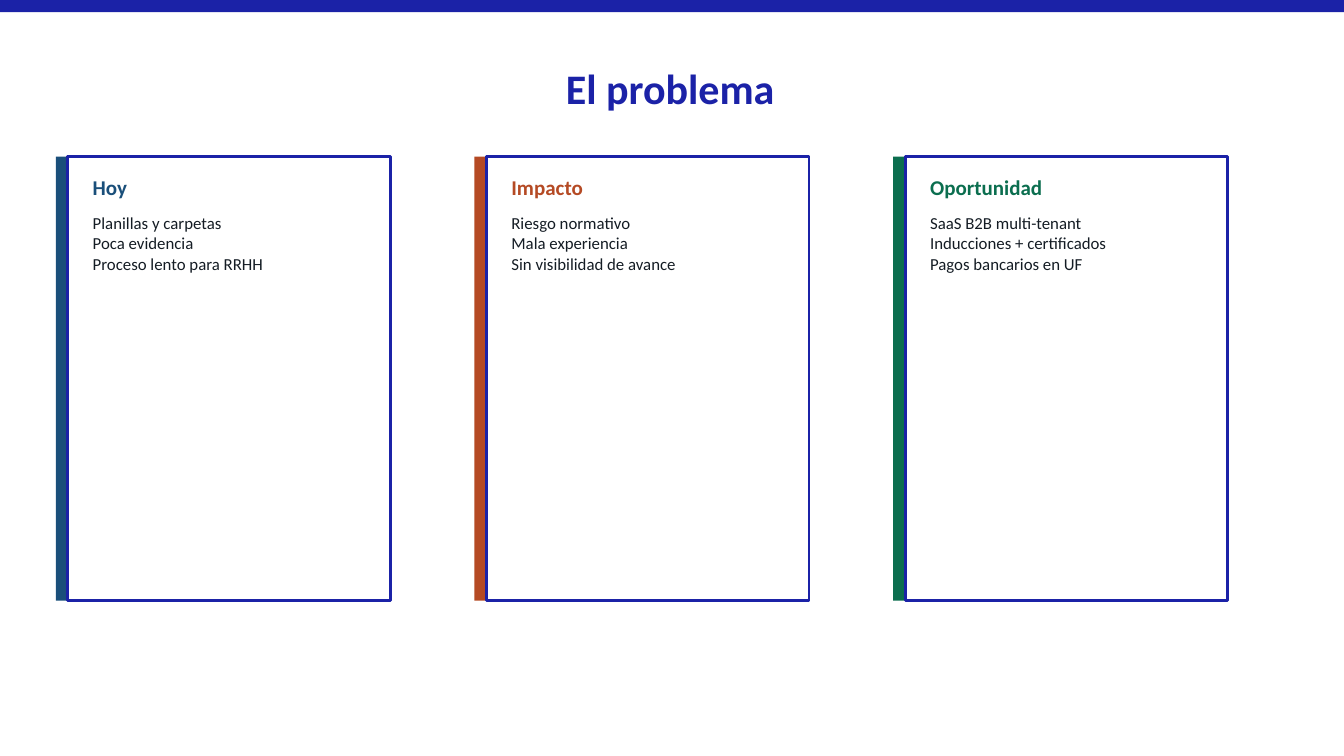
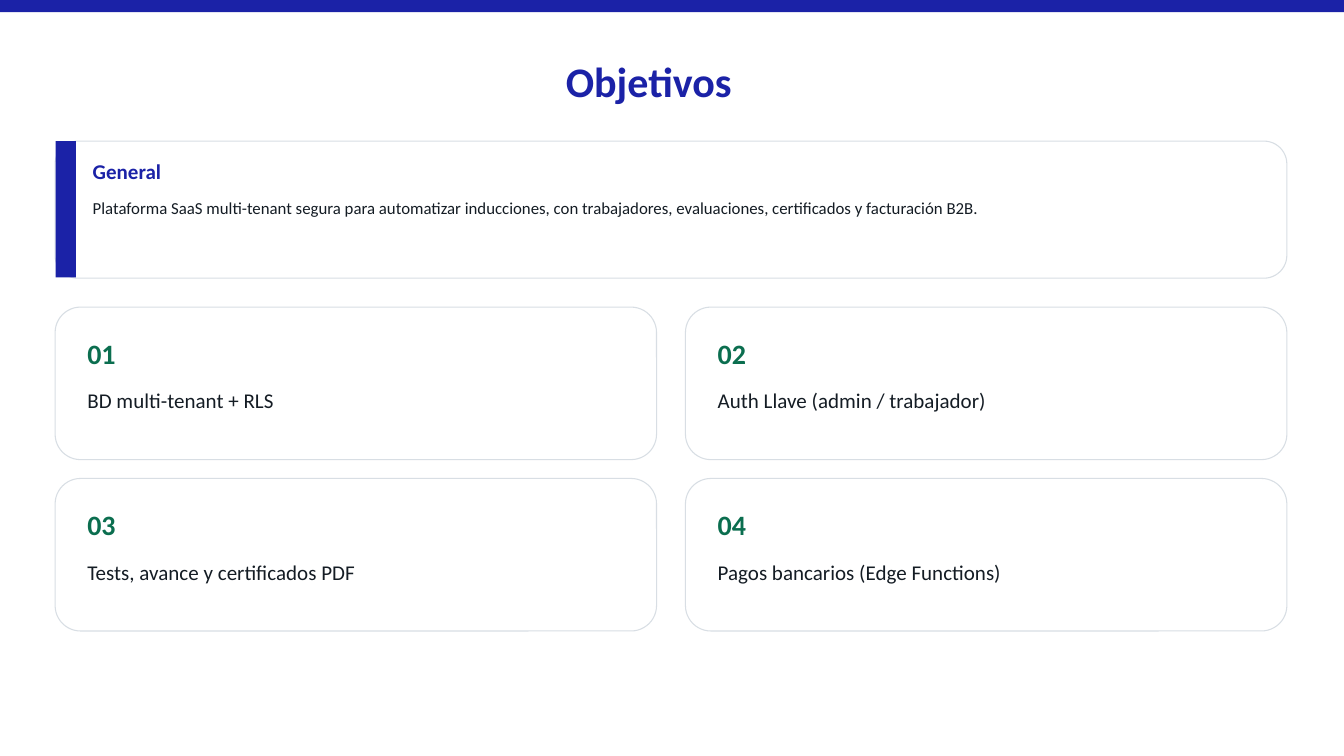
from copy import deepcopy
from dataclasses import dataclass

from pptx import Presentation
from pptx.dml.color import RGBColor
from pptx.enum.shapes import MSO_SHAPE as Shape
from pptx.enum.text import MSO_ANCHOR as Anchor, MSO_AUTO_SIZE as AutoSize, PP_ALIGN as Align
from pptx.oxml.ns import qn
from pptx.util import Inches, Pt

COLORS = {
    "brand": "1B22A7", "blue": "1A4F7A", "rust": "B54A24", "green": "0B6E4F",
    "ink": "141C24", "border": "D8DEE4", "white": "FFFFFF",
}
FONT = "Calibri"
LINE_RATIO = 1.2
WIDTH, HEIGHT = 20, 11.25
MARGIN = 0.82
BAND_H = 0.18
TITLE_X, TITLE_H = 8.42, 0.85
TEXT_X, TEXT_W = 1.38, 17.44
HEAD_H, LIST_H = 0.49, 0.92
HEAD_DY, LIST_DY = 0.26, 0.84


@dataclass(frozen=True)
class Box:
    x: float
    y: float
    w: float
    h: float

    def emu(self) -> tuple:
        return tuple(Inches(v) for v in (self.x, self.y, self.w, self.h))

    def inner(self, dx: float, dy: float, w: float, h: float) -> "Box":
        return Box(self.x + dx, self.y + dy, w, h)


@dataclass(frozen=True)
class Grid:
    first: Box
    gap_x: float
    gap_y: float = 0

    def cell(self, col: int, row: int = 0) -> Box:
        f = self.first
        return Box(f.x + col * (f.w + self.gap_x), f.y + row * (f.h + self.gap_y), f.w, f.h)


@dataclass(frozen=True)
class Style:
    size: float
    color: str
    bold: bool = False


@dataclass(frozen=True)
class Column:
    heading: str
    color: str
    lines: tuple
    list_h: float = LIST_H


PROBLEM_COLUMNS = (
    Column("Hoy", "blue", ("Planillas y carpetas", "Poca evidencia", "Proceso lento para RRHH")),
    Column("Impacto", "rust", ("Riesgo normativo", "Mala experiencia", "Sin visibilidad de avance")),
    Column("Oportunidad", "green",
           ("SaaS B2B multi-tenant", "Inducciones + certificados", "Pagos bancarios en UF"), 5.5),
)
GENERAL_GOAL = ("Plataforma SaaS multi-tenant segura para automatizar inducciones, con trabajadores, "
                "evaluaciones, certificados y facturación B2B.")
GOALS = (
    "BD multi-tenant + RLS",
    "Auth Llave (admin / trabajador)",
    "Tests, avance y certificados PDF",
    "Pagos bancarios (Edge Functions)",
)
TITLE = Style(45, "brand", True)
BODY = Style(18, "ink")
GOAL_NUMBER = Style(30, "green", True)
GOAL_TEXT = Style(22.5, "ink")


def heading_style(color: str) -> Style:
    return Style(22.5, color, True)


def rgb(name: str) -> RGBColor:
    return RGBColor.from_string(COLORS[name])


def write(sp, box: Box, text: str, style: Style) -> None:
    """Place a text shape above what is drawn so far and format its text."""
    sp.left, sp.top, sp.width, sp.height = box.emu()
    tree = sp._element.getparent()
    tree.append(sp._element)
    tf = sp.text_frame
    tf.text = text
    tf.word_wrap = True
    tf.auto_size = AutoSize.NONE
    tf.vertical_anchor = Anchor.TOP
    tf.margin_left = tf.margin_right = tf.margin_top = tf.margin_bottom = 0
    for p in tf.paragraphs:
        pPr = p._p.get_or_add_pPr()
        pPr.set("marL", "0")
        pPr.set("indent", "0")
        pPr.append(pPr.makeelement(qn("a:buNone"), {}))
        p.alignment = Align.LEFT
        p.space_before = p.space_after = Pt(0)
        p.line_spacing = Pt(style.size * LINE_RATIO)
        for r in p.runs:
            r.font.name, r.font.size, r.font.bold = FONT, Pt(style.size), style.bold
            r.font.color.rgb = rgb(style.color)


def add_text(slide, box: Box, text: str, style: Style) -> None:
    write(slide.shapes.add_textbox(*box.emu()), box, text, style)


def add_panel(slide, box: Box, fill: str, line: str = "", line_pt: float = 0,
              shape: Shape = Shape.RECTANGLE) -> None:
    sp = slide.shapes.add_shape(shape, *box.emu())
    sp.shadow.inherit = False
    sp.fill.solid()
    sp.fill.fore_color.rgb = rgb(fill)
    if line:
        sp.line.color.rgb = rgb(line)
        sp.line.width = Pt(line_pt)
    else:
        sp.line.fill.background()


def add_rounded(slide, box: Box) -> None:
    add_panel(slide, box, "white", "border", 1.13, Shape.ROUNDED_RECTANGLE)


def add_slide(prs, layout, title: str, y: float, w: float):
    """Start a slide with the shared top band and title."""
    slide = prs.slides.add_slide(layout)
    add_panel(slide, Box(0, 0, WIDTH, BAND_H), "brand")
    write(slide.shapes.title, Box(TITLE_X, y, w, TITLE_H), title, TITLE)
    return slide


def columns_layout(prs, count: int):
    """Extend the title and content layout to one body per column."""
    layout = prs.slide_layouts[1]
    body = layout.placeholders[1]._element
    for n in range(1, count):
        extra = deepcopy(body)
        extra.find(".//" + qn("p:ph")).set("idx", str(20 + n))
        extra.find(".//" + qn("p:cNvPr")).set("id", str(20 + n))
        body.addnext(extra)
    return layout


def build_problem(prs) -> None:
    layout = columns_layout(prs, len(PROBLEM_COLUMNS))
    slide = add_slide(prs, layout, "El problema", 0.93, 3.12)
    bodies = [ph for ph in slide.placeholders if ph.placeholder_format.idx in (1, 21, 22)]
    grid = Grid(Box(1.01, 2.33, 4.8, 6.61), gap_x=1.43)
    for i, (column, body) in enumerate(zip(PROBLEM_COLUMNS, bodies)):
        card = grid.cell(i)
        add_panel(slide, card.inner(-BAND_H, 0, BAND_H, card.h), column.color)
        add_panel(slide, card, "white", "brand", 3)
        add_text(slide, card.inner(0.37, HEAD_DY, 4.98, HEAD_H), column.heading,
                 heading_style(column.color))
        write(body, card.inner(0.37, LIST_DY, 4.98, column.list_h), "\n".join(column.lines), BODY)


def build_goals(prs) -> None:
    slide = add_slide(prs, prs.slide_layouts[5], "Objetivos", 0.82, 2.69)

    # General goal across the full width
    general = Box(MARGIN, 2.1, 18.33, 2.04)
    add_rounded(slide, general)
    add_panel(slide, general.inner(0.01, 0, 0.3, 2.03), "brand")
    dx = TEXT_X - MARGIN
    add_text(slide, general.inner(dx, HEAD_DY, TEXT_W, HEAD_H), "General", heading_style("brand"))
    add_text(slide, general.inner(dx, LIST_DY, TEXT_W, LIST_H), GENERAL_GOAL, BODY)

    # Numbered goals, two by two
    grid = Grid(Box(MARGIN, 4.57, 8.95, 2.27), gap_x=0.43, gap_y=0.28)
    for i, goal in enumerate(GOALS):
        row, col = divmod(i, 2)
        card = grid.cell(col, row)
        add_rounded(slide, card)
        add_text(slide, card.inner(0.48, 0.44, 1.3, 0.57), f"{i + 1:02}", GOAL_NUMBER)
        add_text(slide, card.inner(0.48, 1.2, 7.91, 0.64), goal, GOAL_TEXT)


def main() -> None:
    prs = Presentation()
    prs.slide_width, prs.slide_height = Inches(WIDTH), Inches(HEIGHT)
    build_problem(prs)
    build_goals(prs)
    prs.save("out.pptx")


if __name__ == "__main__":
    main()
